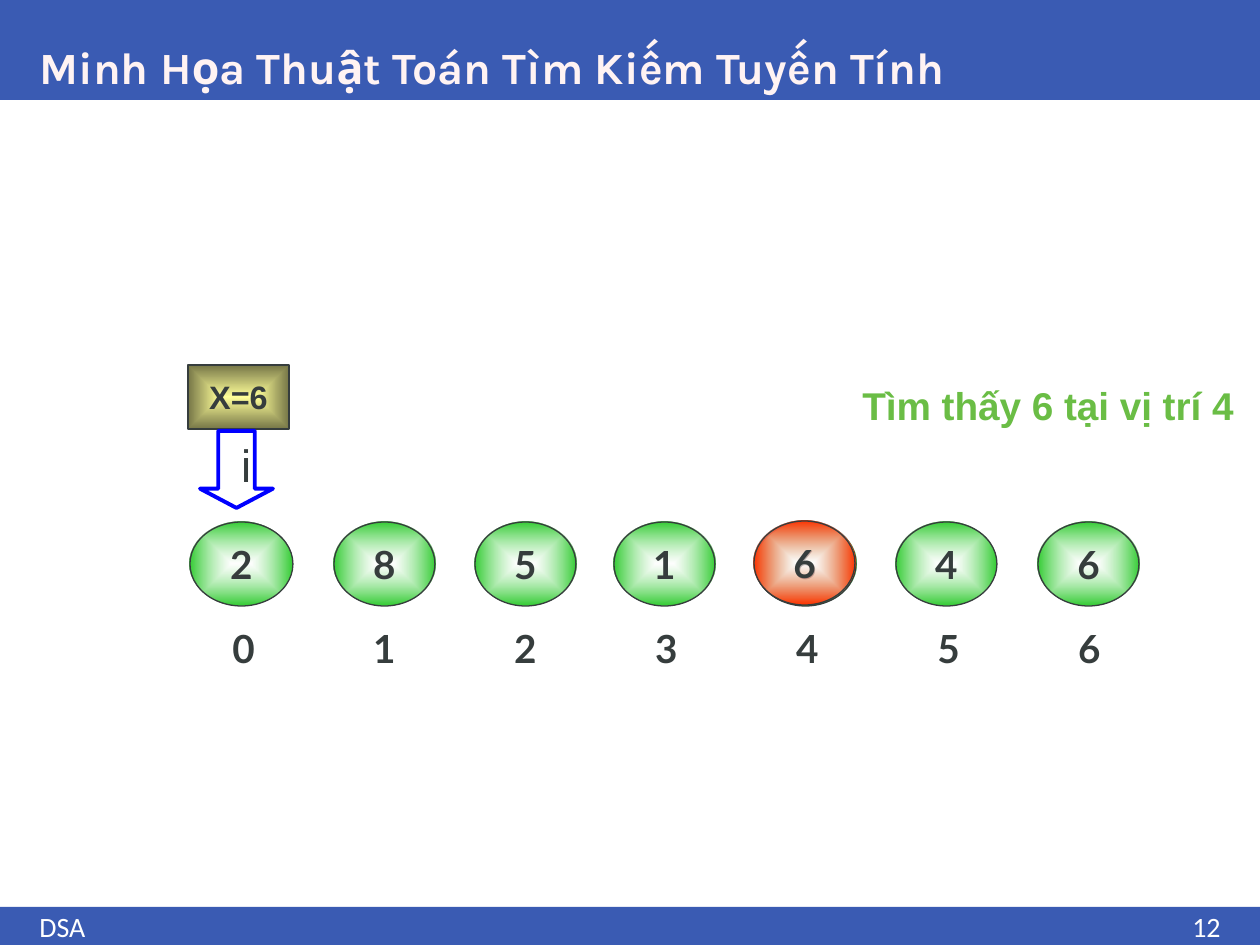
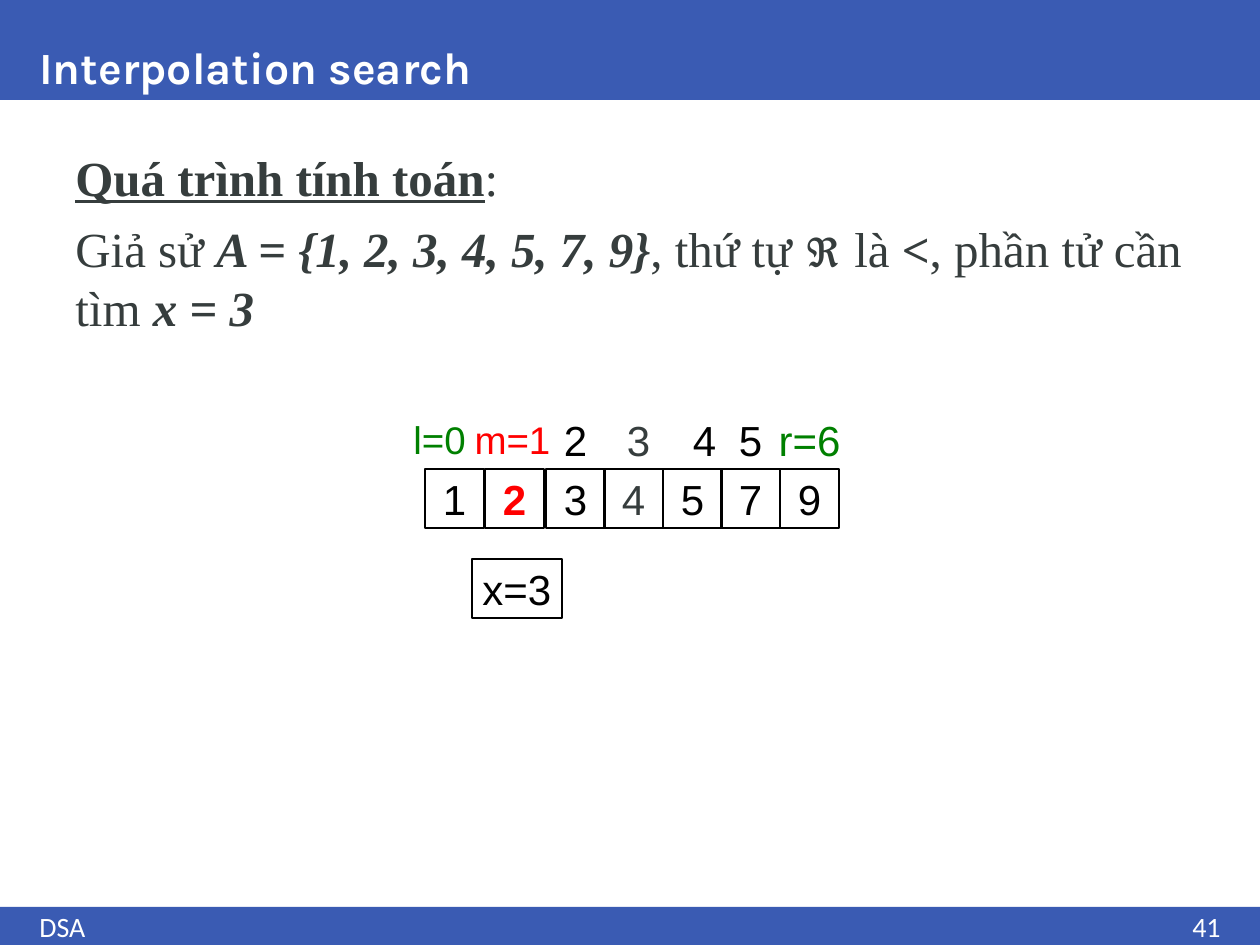
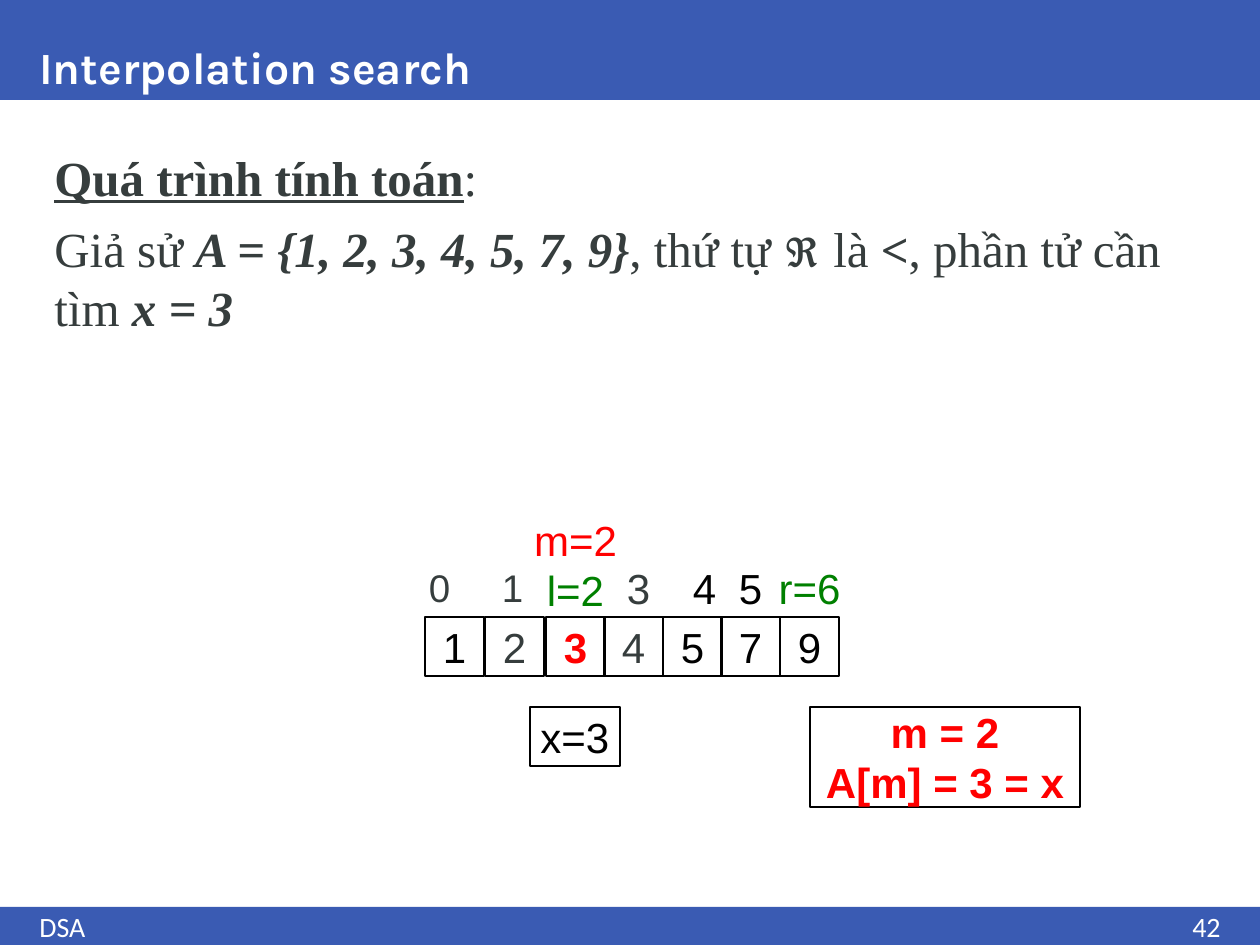
from pptx import Presentation
from pptx.dml.color import RGBColor
from pptx.enum.shapes import MSO_SHAPE
from pptx.enum.text import MSO_ANCHOR, PP_ALIGN
from pptx.oxml import parse_xml
from pptx.oxml.ns import nsdecls
from pptx.util import Emu, Pt

PX = 914400 / 126
WIDTH, HEIGHT = 1260, 945
RECTANGLE, OVAL, ARROW = MSO_SHAPE.RECTANGLE, MSO_SHAPE.OVAL, MSO_SHAPE.DOWN_ARROW
TOP, MIDDLE, BOTTOM = MSO_ANCHOR.TOP, MSO_ANCHOR.MIDDLE, MSO_ANCHOR.BOTTOM
LEFT, CENTER, RIGHT = PP_ALIGN.LEFT, PP_ALIGN.CENTER, PP_ALIGN.RIGHT

COLORS = {
    "band": "3A5BB3", "white": "FFFFFF", "blush": "FFF3F3", "ink": "363D3D",
    "black": "000000", "red": "FF0000", "green": "008000", "blue": "0000FF",
    "found": "6ABD45", "node": "33CC33", "hit": "FF3300",
    "key_light": "FFFF99", "key_dark": "767647",
}

BOLD, PLAIN = {"bold": True}, {}
BOLD_ITALIC = {"bold": True, "italic": True}
PROBLEM = [
    [("Quá trình tính toán", {"bold": True, "underline": True}), (":", PLAIN)],
    [("Giả sử ", PLAIN), ("A = {1, 2, 3, 4, 5, 7, 9}", BOLD_ITALIC), (", thứ tự ", PLAIN),
     ("ℜ ", BOLD), ("là ", PLAIN), ("<", BOLD), (", phần tử cần tìm ", PLAIN),
     ("x = 3", BOLD_ITALIC)],
]

NODE_VALUES = (2, 8, 5, 1, 6, 4, 6)
NODE_LEFTS = (0, 144, 285, 424, 565, 706, 848)
ARRAY_VALUES = (1, 2, 3, 4, 5, 7, 9)
VALUE_COLORS = ("black", "ink", "black", "ink", "black", "black", "black")
CELL_LEFTS = (0, 60, 121, 179, 238, 296, 355)
LABEL_LEFTS = (-15, 58, 121, 184, 250, 296, 355)
CELL = 59
UPPER_LABELS = [("3", "ink", 24), ("4", "black", 24), ("5", "black", 24), ("r=6", "green", 24)]


def rgb(name):
    """Return the named palette colour."""
    return RGBColor.from_string(COLORS[name])


def emu(box):
    """Turn a box in px into EMU lengths."""
    return [Emu(round(length * PX)) for length in box]


def write_text(shape, paragraphs, size=24, font="Arial", color="black", bold=False,
               align=LEFT, anchor=TOP, wrap=True, before=None, spacing=None):
    """Fill a shape with paragraphs, each a string or a list of (text, overrides)."""
    frame = shape.text_frame
    frame.word_wrap = wrap
    frame.vertical_anchor = anchor
    for index, content in enumerate(paragraphs):
        paragraph = frame.paragraphs[0] if index == 0 else frame.add_paragraph()
        paragraph.alignment = align
        paragraph.space_before = before
        paragraph.line_spacing = spacing
        runs = [(content, PLAIN)] if isinstance(content, str) else content
        for text, overrides in runs:
            style = {"bold": bold, "color": color, **overrides}
            run = paragraph.add_run()
            run.text = text
            run.font.name, run.font.size = font, Pt(size)
            run.font.color.rgb = rgb(style["color"])
            run.font.bold = style["bold"]
            run.font.italic = style.get("italic")
            run.font.underline = style.get("underline")


def add_text(slide, box, paragraphs, **text_format):
    """Add a text box."""
    write_text(slide.shapes.add_textbox(*emu(box)), paragraphs, **text_format)


def add_figure(slide, kind, box, fill=None, line=None, line_width=1):
    """Add a shape without shadow and with optional fill and outline."""
    shape = slide.shapes.add_shape(kind, *emu(box))
    shape.shadow.inherit = False
    if fill:
        shape.fill.solid()
        shape.fill.fore_color.rgb = rgb(fill)
    else:
        shape.fill.background()
    if line:
        shape.line.color.rgb = rgb(line)
        shape.line.width = Pt(line_width)
    else:
        shape.line.fill.background()
    return shape


def set_glow(shape, inner, outer, opacity=100):
    """Give a shape a gradient from its centre to its outline."""
    gradient = parse_xml(
        f'<a:gradFill {nsdecls("a")} rotWithShape="1"><a:gsLst>'
        f'<a:gs pos="0"><a:srgbClr val="{COLORS[inner]}">'
        f'<a:alpha val="{opacity * 1000}"/></a:srgbClr></a:gs>'
        f'<a:gs pos="100000"><a:srgbClr val="{COLORS[outer]}"/></a:gs></a:gsLst>'
        '<a:path path="shape"><a:fillToRect l="50000" t="50000" r="50000" b="50000"/>'
        '</a:path></a:gradFill>')
    properties = shape.fill._xPr
    properties.replace(properties.find("{*}noFill"), gradient)


def add_frame(presentation, title, number, title_color="white"):
    """Add a slide with its bands, title and footer."""
    slide = presentation.slides.add_slide(presentation.slide_layouts[6])
    for top, height in ((0, 100), (907, 38)):
        add_figure(slide, RECTANGLE, (0, top, WIDTH, height), fill="band")
    add_text(slide, (27, 0, 1206, 100), [title], size=25.5, font="Karla",
             color=title_color, bold=True, anchor=BOTTOM, spacing=0.9)
    footer = {"size": 16, "font": "Calibri", "color": "white", "anchor": MIDDLE}
    add_text(slide, (27, 910, 1041, 33), ["DSA"], **footer)
    add_text(slide, (1166, 910, 67, 33), [str(number)], align=RIGHT, **footer)
    return slide


def add_node(slide, box, value, color=None):
    """Add one array node, or only its index when no colour is given."""
    node = add_figure(slide, OVAL, box, line="ink" if color else None, line_width=0.75)
    if color:
        set_glow(node, "white", color, opacity=60)
    write_text(node, [str(value)], size=22.1, font="Lato", color="ink", bold=True, align=CENTER)


def add_nodes(slide, left, top):
    """Add the row of nodes with indexes below and the found node on top."""
    for index, (offset, value) in enumerate(zip(NODE_LEFTS, NODE_VALUES)):
        add_node(slide, (left + 3 + 141 * index, top + 84, 101, 84), index)
        add_node(slide, (left + offset, top, 101 if index else 103, 84), value, "node")
    add_node(slide, (left + 564, top - 1, 101, 84), 6, "hit")


def add_search_key(slide, left, top):
    """Add the searched key and the arrow that marks position i."""
    key = add_figure(slide, RECTANGLE, (left, top, 101, 64), line="ink", line_width=0.75)
    set_glow(key, "key_light", "key_dark")
    write_text(key, ["X=6"], size=18.5, color="ink", bold=True,
               align=CENTER, anchor=MIDDLE, wrap=False)
    arrow = add_figure(slide, ARROW, (left + 12, top + 66, 73, 77), line="blue", line_width=2.25)
    arrow.adjustments[0], arrow.adjustments[1] = 0.5, 0.264
    write_text(arrow, ["i"], size=25.9, color="ink")
    arrow.text_frame.margin_left = Emu(round(23 * PX))


def add_box(slide, box, paragraphs, line="black", **text_format):
    """Add a box with centred text on unwrapped lines and an optional outline."""
    shape = add_figure(slide, RECTANGLE, box, line=line)
    write_text(shape, paragraphs, align=CENTER, anchor=MIDDLE, wrap=False, **text_format)


def add_array(slide, left, top, probe, labels, key_left):
    """Add the array cells, the labels above them and the searched key below."""
    for index, (offset, value) in enumerate(zip(CELL_LEFTS, ARRAY_VALUES)):
        is_probe = index == probe
        add_box(slide, (left + offset, top, CELL, CELL), [str(value)],
                color="red" if is_probe else VALUE_COLORS[index], bold=is_probe)
    for offset, (content, color, size) in zip(LABEL_LEFTS, labels):
        paragraphs = [content] if isinstance(content, str) else content
        rise = CELL + 23 * (len(paragraphs) - 1)
        add_box(slide, (left + offset, top - rise, CELL, CELL), paragraphs,
                line=None, size=size, color=color)
    add_box(slide, (left + key_left, top + 90, 90, CELL), ["x=3"])


def add_linear_slide(presentation):
    """Add the linear search illustration."""
    slide = add_frame(presentation, "Minh Họa Thuật Toán Tìm Kiếm Tuyến Tính", 12, "blush")
    add_nodes(slide, 190, 522)
    add_search_key(slide, 188, 365)
    add_text(slide, (850, 376, 406, 59), ["Tìm thấy 6 tại vị trí 4"],
             size=22.1, color="found", bold=True)


def add_interpolation_slide(presentation, number, text_box, array_top, probe, labels, key_left):
    """Add one step of the interpolation search."""
    slide = add_frame(presentation, "Interpolation search", number)
    add_text(slide, text_box, PROBLEM, size=28, font="Times New Roman",
             color="ink", before=Pt(7))
    add_array(slide, 425, array_top, probe, labels, key_left)
    return slide


def main():
    """Build and save the presentation."""
    presentation = Presentation()
    presentation.slide_width, presentation.slide_height = emu((WIDTH, HEIGHT))
    add_linear_slide(presentation)
    add_interpolation_slide(
        presentation, 41, (63, 141, 1134, 278), 469, 1,
        [("l=0", "green", 22), ("m=1", "red", 22), ("2", "black", 24)] + UPPER_LABELS, 47)
    bounds = [[("m=2", {"color": "red"})], [("l=2", {"color": "green"})]]
    last_step = add_interpolation_slide(
        presentation, 42, (42, 141, 1134, 662), 617, 2,
        [("0", "ink", 22), ("1", "ink", 22), (bounds, "black", 24)] + UPPER_LABELS, 105)
    add_box(last_step, (810, 707, 270, 100), ["m = 2", "A[m] = 3 = x"], color="red", bold=True)
    presentation.save("out.pptx")


if __name__ == "__main__":
    main()
